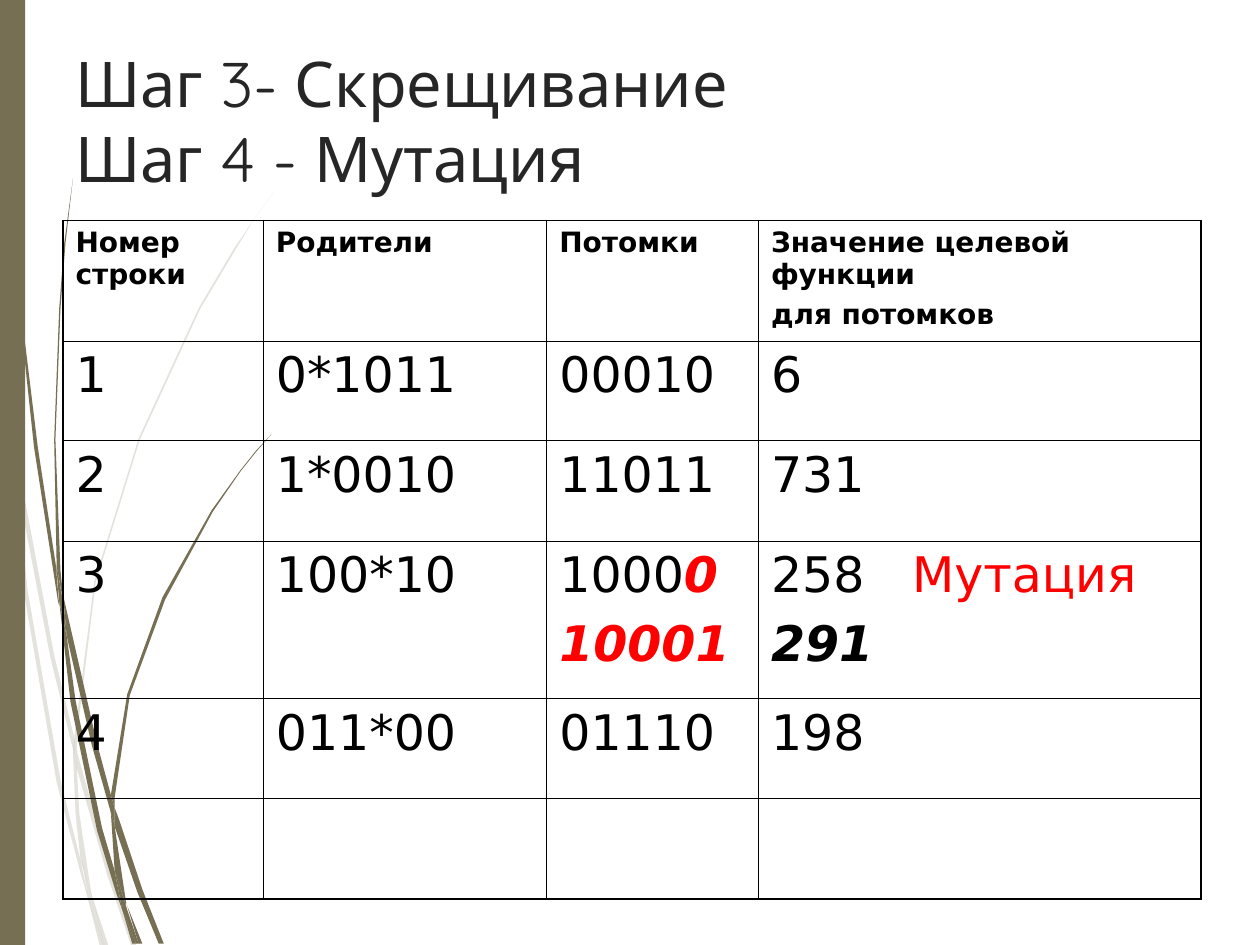
from dataclasses import dataclass
from typing import Optional

from lxml.etree import SubElement
from pptx import Presentation
from pptx.dml.color import RGBColor
from pptx.enum.shapes import MSO_SHAPE
from pptx.enum.text import MSO_ANCHOR, PP_ALIGN
from pptx.oxml.ns import qn
from pptx.util import Pt

PX = 9144
OLIVE, BLACK, RED, TITLE = "766F54", "000000", "FF0000", "262626"
THIN, THICK = 0.45, 1.08


@dataclass
class Strand:
    points: list[tuple[int, int]]


@dataclass
class Run:
    text: str
    color: str = BLACK
    size: int = 28
    bold: bool = False
    italic: bool = False
    font: str = "DejaVu Sans"


@dataclass
class Cell:
    paragraphs: list[list[Run]]
    space_before: int = 7
    tab: Optional[int] = None


def px(n: int) -> int:
    return n * PX


def rgb(color: str) -> RGBColor:
    return RGBColor.from_string(color)


def paint(sp, color: str, alpha: Optional[int] = None) -> None:
    sp.shadow.inherit = False
    sp.fill.solid()
    sp.fill.fore_color.rgb = rgb(color)
    sp.line.fill.background()
    if alpha is not None:
        srgb = sp._element.spPr.find(".//" + qn("a:srgbClr"))
        SubElement(srgb, qn("a:alpha"), val=str(alpha * 1000))


def draw_strands(s, strands: list[Strand], alpha: Optional[int] = None) -> None:
    group = s.shapes.add_group_shape()
    for strand in strands:
        start, *rest = strand.points
        builder = group.shapes.build_freeform(*start, scale=PX)
        builder.add_line_segments(rest, close=True)
        paint(builder.convert_to_shape(), OLIVE, alpha)


def write_run(p, run: Run) -> None:
    r = p.add_run()
    r.text = run.text
    formats = {"name": run.font, "size": Pt(run.size), "bold": run.bold, "italic": run.italic}
    for name, value in formats.items():
        setattr(r.font, name, value)
    r.font.color.rgb = rgb(run.color)


def write_cell(tc, cell: Cell) -> None:
    tf = tc.text_frame
    for i, runs in enumerate(cell.paragraphs):
        p = tf.add_paragraph() if i else tf.paragraphs[0]
        if i:
            p.space_before = Pt(cell.space_before)
        if cell.tab and not i:
            tabs = SubElement(p._p.get_or_add_pPr(), qn("a:tabLst"))
            SubElement(tabs, qn("a:tab"), pos=str(px(cell.tab)), algn="l")
        for run in runs:
            write_run(p, run)


def set_borders(tc, widths: dict[str, float]) -> None:
    tcPr = tc._tc.get_or_add_tcPr()
    for i, (side, width) in enumerate(widths.items()):
        ln = SubElement(tcPr, qn(f"a:ln{side}"), w=str(Pt(width)))
        fill = SubElement(ln, qn("a:solidFill"))
        SubElement(fill, qn("a:srgbClr"), val=BLACK)
        tcPr.insert(i, ln)


def draw_table(s, left: int, top: int, cols: list[int], heights: list[int],
               rows: list[list[Cell]]) -> None:
    shape = s.shapes.add_table(len(heights), len(cols), px(left), px(top),
                               px(sum(cols)), px(sum(heights)))
    table = shape.table
    table.first_row = table.horz_banding = False
    for column, width in zip(table.columns, cols):
        column.width = px(width)
    for row, height in zip(table.rows, heights):
        row.height = px(height)
    last_row, last_col = len(heights) - 1, len(cols) - 1
    for i, row in enumerate(rows):
        for j, cell in enumerate(row):
            tc = table.cell(i, j)
            tc.fill.background()
            write_cell(tc, cell)
            outer = {"L": j == 0, "R": j == last_col, "T": i == 0, "B": i == last_row}
            set_borders(tc, {side: THICK if edge else THIN for side, edge in outer.items()})


def header(*lines: str) -> Cell:
    return Cell([[Run(line, size=16, bold=True)] for line in lines], space_before=4)


def plain(*texts: str) -> list[Cell]:
    return [Cell([[Run(text)]]) for text in texts]


PALE_STRANDS = [
    Strand([(8, 350), (6, 322), (0, 282), (0, 299), (7, 344)]),
    Strand([(40, 522), (59, 599), (59, 586), (43, 520), (10, 345), (12, 376)]),
    Strand([(64, 607), (61, 596), (61, 610), (85, 694), (104, 750), (108, 750), (88, 692)]),
    Strand([(83, 750), (86, 750), (73, 711)]),
    Strand([(64, 683), (48, 619), (22, 469), (12, 376), (8, 350), (19, 470), (45, 621),
            (64, 693), (70, 714), (69, 707)]),
    Strand([(58, 599), (60, 646), (64, 683), (67, 692), (73, 711), (72, 706), (63, 646),
            (61, 610), (61, 608)]),
    Strand([(61, 584), (76, 462), (111, 349), (159, 245), (187, 198), (201, 175), (217, 153),
            (201, 175), (186, 197), (158, 244), (110, 348), (75, 461), (59, 584), (59, 586),
            (61, 596)]),
    Strand([(70, 714), (79, 750), (82, 750)]),
    Strand([(61, 608), (61, 610), (61, 596), (59, 586), (58, 599)]),
    Strand([(67, 692), (65, 683), (69, 707), (70, 714), (82, 750), (83, 750), (73, 711)]),
]
DARK_STRANDS = [
    Strand([(5, 110), (14, 233), (27, 355), (46, 477), (47, 481), (45, 457), (45, 453),
            (30, 355), (15, 232), (6, 109), (4, 48), (3, 0), (2, 0), (3, 48)]),
    Strand([(73, 592), (88, 645), (88, 633), (88, 631), (77, 590), (50, 472), (53, 505)]),
    Strand([(94, 649), (91, 641), (91, 656), (109, 708), (126, 749), (130, 749), (113, 706)]),
    Strand([(91, 691), (81, 657), (60, 556), (53, 505), (47, 477), (56, 557), (77, 659),
            (92, 708), (97, 722), (96, 717)]),
    Strand([(50, 472), (48, 453), (44, 349), (48, 245), (52, 193), (58, 141), (51, 193),
            (47, 245), (43, 349), (45, 449), (49, 471)]),
    Strand([(110, 749), (113, 749), (101, 719)]),
    Strand([(47, 477), (53, 505), (50, 472), (49, 472), (45, 449), (45, 453)]),
    Strand([(91, 633), (103, 552), (131, 476), (169, 406), (191, 374), (203, 359), (216, 344),
            (203, 358), (191, 373), (168, 405), (129, 474), (101, 551), (88, 631), (91, 641)]),
    Strand([(97, 722), (105, 749), (108, 749)]),
    Strand([(88, 645), (91, 691), (96, 706), (100, 719), (100, 716), (91, 656), (90, 651)]),
    Strand([(88, 645), (90, 651), (91, 656), (91, 641), (88, 631), (88, 633)]),
    Strand([(96, 706), (91, 691), (96, 717), (97, 722), (108, 749), (110, 749), (100, 719)]),
]

ROWS = [
    [header("Номер строки"), header("Родители"), header("Потомки"),
     header("Значение целевой функции", "для потомков")],
    plain("1", "0*1011", "00010", "6"),
    plain("2", "1*0010", "11011", "731"),
    plain("3", "100*10") + [
        Cell([[Run("1000"), Run("0", RED, bold=True, italic=True)],
              [Run("10001", RED, bold=True, italic=True)]]),
        Cell([[Run("258\t"), Run("Мутация", RED)],
              [Run("291", bold=True, italic=True)]], tab=112),
    ],
    plain("4", "011*00", "01110", "198"),
    [Cell([])] * 4,
]


def main() -> None:
    prs = Presentation()
    prs.slide_width, prs.slide_height = px(1000), px(750)
    s = prs.slides.add_slide(prs.slide_layouts[6])

    draw_strands(s, PALE_STRANDS, alpha=20)
    draw_strands(s, DARK_STRANDS)
    paint(s.shapes.add_shape(MSO_SHAPE.RECTANGLE, 0, 0, px(20), px(750)), OLIVE)

    tf = s.shapes.add_textbox(px(50), px(30), px(900), px(125)).text_frame
    tf.word_wrap = True
    tf.vertical_anchor = MSO_ANCHOR.TOP
    p = tf.paragraphs[0]
    p.alignment = PP_ALIGN.LEFT
    first, second = (Run(text, TITLE, 36, font="Quicksand")
                     for text in ("Шаг 3- Скрещивание", "Шаг 4 - Мутация"))
    write_run(p, first)
    p.add_line_break()
    write_run(p, second)

    draw_table(s, 50, 175, [159, 225, 168, 351], [93, 79, 80, 125, 79, 80], ROWS)
    prs.save("out.pptx")


if __name__ == "__main__":
    main()
